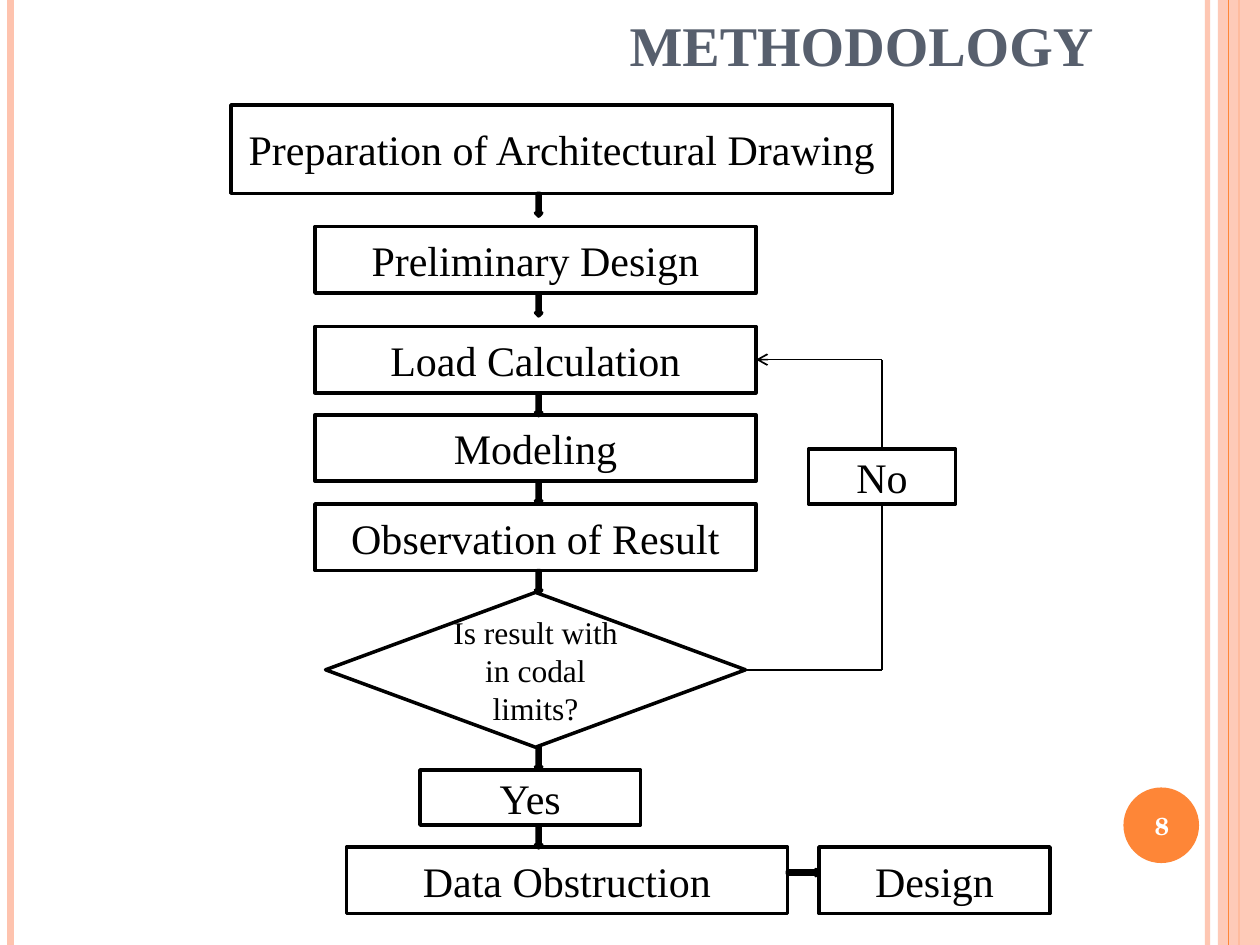
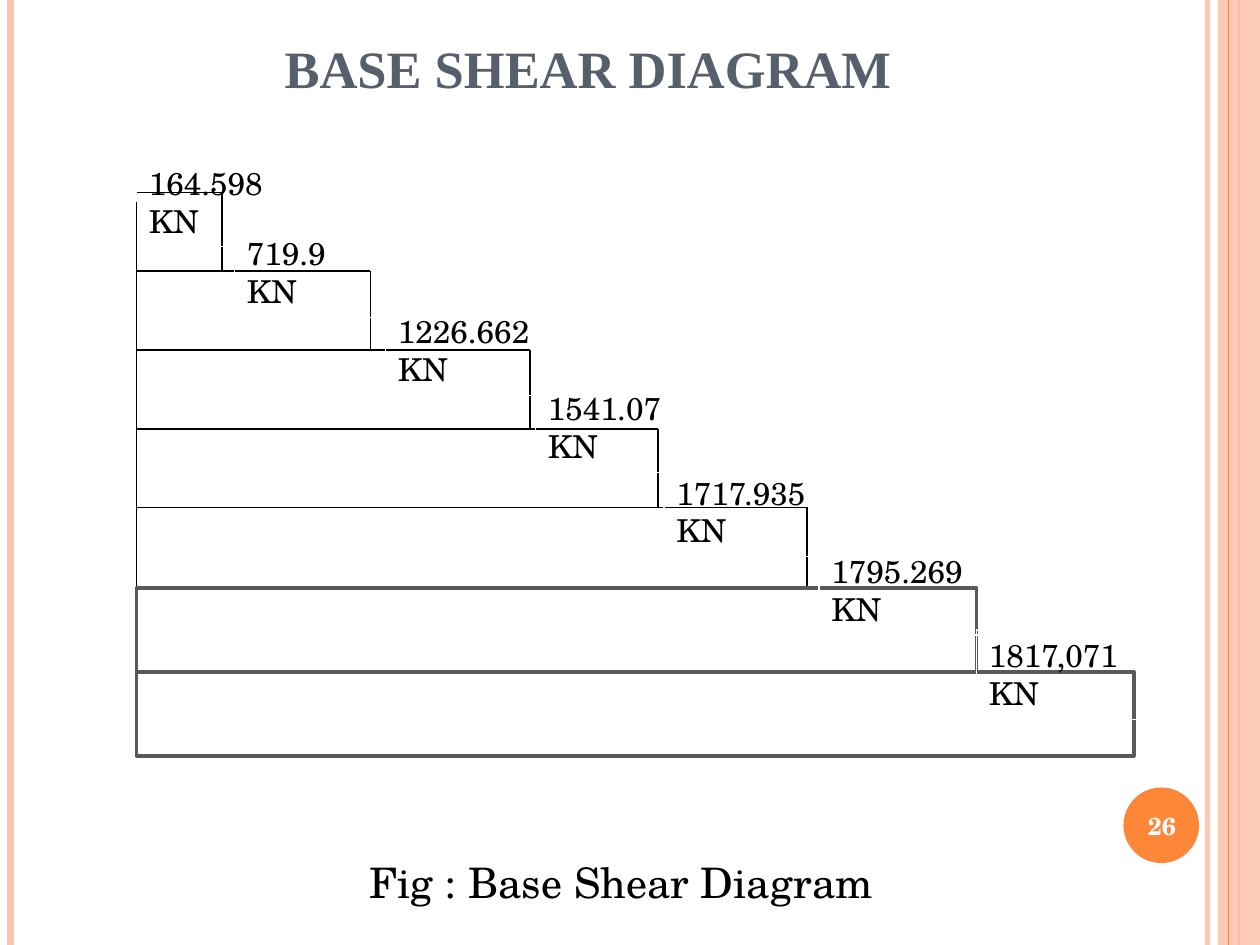
"""Build a flow chart slide and a base shear slide in one shared style."""
from dataclasses import dataclass

from lxml.etree import SubElement as Sub
from pptx import Presentation
from pptx.dml.color import RGBColor as RGB
from pptx.enum.shapes import MSO_CONNECTOR as Link, MSO_SHAPE as Form
from pptx.enum.text import MSO_ANCHOR as Anchor, PP_ALIGN as Align
from pptx.oxml.ns import qn
from pptx.util import Pt


@dataclass(frozen=True)
class Theme:
    ink: str = "000000"
    paper: str = "FFFFFF"
    slate: str = "575F6D"
    peach: str = "FEC3AE"
    orange: str = "FE8637"
    gray: str = "595959"
    serif: str = "Times New Roman"
    school: str = "TeX Gyre Schola"
    head: int = 32
    body: int = 24
    small: int = 18
    page: int = 14


def put(item, **values):
    for name, value in values.items():
        setattr(item, name, value)


def fade(shape, share):
    for color in shape._element.spPr.iter(qn("a:srgbClr")):
        Sub(color, qn("a:alpha"), val=str(share * 1000))


class Deck:
    def __init__(self, theme):
        self.look = theme
        self.show = Presentation()
        put(self.show, slide_width=Pt(720), slide_height=Pt(540))
        self.slide = None

    def start(self, title, page, spot, size, inset=7.2):
        self.slide = self.show.slides.add_slide(self.show.slide_layouts[5])
        head = self.slide.shapes.title
        sides = ("left", "top", "width", "height")
        put(head, **{side: Pt(value) for side, value in zip(sides, spot)})
        self.letter(head, title, size=size, color=self.look.slate, bold=True,
                    anchor=Anchor.BOTTOM, inset=inset)
        self.frame(page)

    def frame(self, page):
        look = self.look
        fade(self.wire((690, 0), (690, 540), look.peach, 3), 93)
        self.wire((6, 0), (6, 540), look.peach, 4.5)
        self.wire((708, 0), (708, 540), look.orange, 1.5)
        fade(self.shape(Form.RECTANGLE, (696, 0, 24, 540), look.peach), 87)
        self.wire((702, 0), (702, 540), look.orange, 0.75)
        self.shape(Form.OVAL, (642, 450, 43.2, 43.2), look.orange)
        self.text(page, (640, 451.4, 48, 41), font=look.school, size=look.page,
                  color=look.paper, bold=True)

    def letter(self, shape, words, font=None, size=None, color=None, bold=False,
               align=Align.CENTER, anchor=Anchor.MIDDLE, inset=7.2):
        look = self.look
        frame = shape.text_frame
        put(frame, word_wrap=True, vertical_anchor=anchor, margin_left=Pt(inset),
            margin_right=Pt(7.2), margin_top=Pt(3.6), margin_bottom=Pt(3.6))
        part = frame.paragraphs[0]
        part.alignment = align
        run = part.add_run()
        run.text = words
        put(run.font, name=font or look.serif, size=Pt(size or look.body), bold=bold)
        run.font.color.rgb = RGB.from_string(color or look.ink)

    def text(self, words, spot, **style):
        box = self.slide.shapes.add_textbox(*map(Pt, spot))
        self.letter(box, words, **style)

    def shape(self, form, spot, fill=None, line=None, width=2):
        item = self.slide.shapes.add_shape(form, *map(Pt, spot))
        item.shadow.inherit = False
        for paint, color in ((item.fill, fill), (item.line.fill, line)):
            if color:
                paint.solid()
                paint.fore_color.rgb = RGB.from_string(color)
            else:
                paint.background()
        if line:
            item.line.width = Pt(width)
        return item

    def step(self, words, spot, form=Form.RECTANGLE, size=None):
        box = self.shape(form, spot, self.look.paper, self.look.ink)
        self.letter(box, words, size=size)
        return box

    def arrow(self, form, spot):
        self.shape(form, spot, self.look.orange, self.look.ink)

    def label(self, words, spot):
        box = self.shape(Form.RECTANGLE, spot, line=self.look.paper, width=0.75)
        self.letter(box, words, font=self.look.school, size=self.look.small,
                    align=Align.LEFT, anchor=Anchor.TOP)

    def wire(self, start, end, color=None, width=1, begin=None, finish=None, tip=False):
        item = self.slide.shapes.add_connector(Link.STRAIGHT, *map(Pt, (*start, *end)))
        item.line.color.rgb = RGB.from_string(color or self.look.ink)
        item.line.width = Pt(width)
        if begin:
            item.begin_connect(*begin)
        if finish:
            item.end_connect(*finish)
        if tip:
            Sub(item.line._get_or_add_ln(), qn("a:tailEnd"), type="arrow")
        Sub(item._element.spPr, qn("a:effectLst"))
        return item


def flow(deck):
    look = deck.look
    deck.start("METHODOLOGY", "8", (36, 0, 648, 48), look.head, inset=272)
    box = Form.RECTANGLE
    steps = [
        ("Preparation of Architectural Drawing", (132, 60, 378, 50.5), box, look.body),
        ("Preliminary Design", (180, 129.5, 252, 38), box, look.body),
        ("Load Calculation", (180, 186.5, 252, 38), box, look.body),
        ("Modeling", (180, 237, 252, 38), box, look.body),
        ("Observation of Result", (180, 288, 252, 38), box, look.body),
        ("Is result with in codal limits?", (186, 338.5, 240, 88.5),
         Form.FLOWCHART_DECISION, look.small),
        ("Yes", (240, 440, 126, 31.5), box, look.body),
    ]
    made = [deck.step(*item) for item in steps]
    load, test = made[2], made[5]
    deck.step("Data Obstruction", (198, 484, 252, 38))
    deck.step("Design", (468, 484, 132, 38))
    for _, (_, top, _, high), *_ in steps:
        deck.arrow(Form.DOWN_ARROW, (306, top + high, 3.6, 13))
    deck.arrow(Form.RIGHT_ARROW, (450, 496.8, 18, 3.6))

    nope = deck.step("No", (462, 256.5, 84, 31.5))
    low, high = (504, 382.75), (504, 205.5)
    deck.wire((426, 382.75), low, begin=(test, 3))
    deck.wire(low, (504, 288), finish=(nope, 2))
    deck.wire((504, 256.5), high, begin=(nope, 0))
    deck.wire(high, (432, 205.5), finish=(load, 3), tip=True)


def shear(deck):
    look = deck.look
    deck.start("BASE SHEAR DIAGRAM", "26", (42, 0, 588, 60), 30)
    left, top, rise, base = 78, 110, 45, 336
    deck.wire((left, top), (left, base))
    for row, right in enumerate((126.7, 211.7, 303, 376, 461)):
        level = top + row * rise
        deck.wire((left, level), (right, level))
        deck.wire((right, level), (right, level + rise))
    for row, width in enumerate((480, 570)):
        deck.shape(Form.RECTANGLE, (left, base + row * 48, width, 48),
                   look.paper, look.gray)
    loads = [
        ("164.598", 78, 90, 91), ("719.9", 134, 130.3, 91),
        ("1226.662", 220.3, 175, 99.4), ("1541.07", 306, 218.9, 86.4),
        ("1717.935", 379.4, 267.1, 95), ("1795.269", 468, 311.8, 96.5),
        ("1817,071", 558, 360, 95.8),
    ]
    for load, x, y, width in loads:
        deck.label(f"{load} KN", (x, y, width, 51))
    deck.wire((left, 115.2), (left, 141))
    deck.text("Fig : Base Shear Diagram", (204, 486, 372, 36), font=look.school,
              align=Align.LEFT, anchor=Anchor.TOP)


def main():
    deck = Deck(Theme())
    flow(deck)
    shear(deck)
    deck.show.save("out.pptx")


if __name__ == "__main__":
    main()
